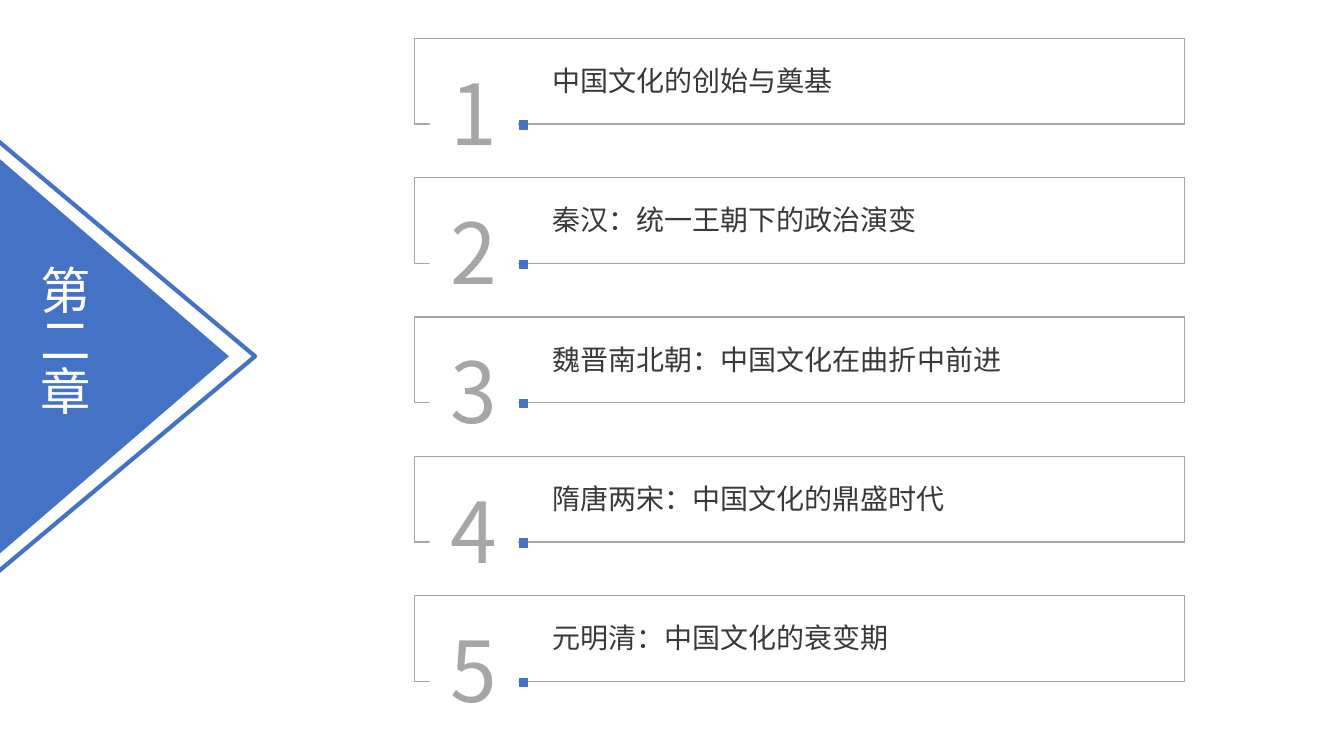
"""Build the contents slide of chapter two."""
from dataclasses import dataclass

from lxml.etree import SubElement
from pptx import Presentation
from pptx.dml.color import RGBColor
from pptx.enum.shapes import MSO_SHAPE as Kind
from pptx.enum.text import MSO_ANCHOR as Anchor, MSO_AUTO_SIZE as Fit, PP_ALIGN as Align
from pptx.oxml.ns import qn
from pptx.shapes.autoshape import Shape
from pptx.util import Inches, Pt

BLUE = RGBColor(0x44, 0x72, 0xC4)
GRAY = RGBColor(0xA6, 0xA6, 0xA6)
DARK = RGBColor(0x3B, 0x38, 0x38)
WHITE = RGBColor(0xFF, 0xFF, 0xFF)
FONT = "Noto Sans CJK SC"
TOP, LAST = 0.38, 5.91
TITLES = [
    "中国文化的创始与奠基",
    "秦汉：统一王朝下的政治演变",
    "魏晋南北朝：中国文化在曲折中前进",
    "隋唐两宋：中国文化的鼎盛时代",
    "元明清：中国文化的衰变期",
]


@dataclass
class Box:
    left: float
    top: float
    width: float
    height: float

    def place(self) -> list[int]:
        return [Inches(v) for v in (self.left, self.top, self.width, self.height)]


@dataclass
class Style:
    size: int
    color: RGBColor
    align: Align = Align.LEFT
    wrap: bool = True


TITLE = Style(20, DARK, wrap=False)
DIGIT = Style(60, GRAY, Align.CENTER)
LABEL = Style(36, WHITE, Align.CENTER)


def draw(shapes, kind: Kind, box: Box, fill: RGBColor | None = None,
         line: RGBColor | None = None, width: float = 1) -> Shape:
    shape = shapes.add_shape(kind, *box.place())
    shape.shadow.inherit = False
    if fill is None:
        shape.fill.background()
    else:
        shape.fill.solid()
        shape.fill.fore_color.rgb = fill
    if line is None:
        shape.line.fill.background()
    else:
        shape.line.color.rgb = line
        shape.line.width = Pt(width)
    return shape


def write(shape: Shape, text: str, style: Style) -> None:
    frame = shape.text_frame
    frame.text = text
    frame.word_wrap = style.wrap
    frame.auto_size = Fit.SHAPE_TO_FIT_TEXT
    para = frame.paragraphs[0]
    para.alignment = style.align
    font = para.runs[0].font
    font.size = Pt(style.size)
    font.color.rgb = style.color
    font.name = FONT
    SubElement(para.runs[0]._r.get_or_add_rPr(), qn("a:ea"), typeface=FONT)


def add_item(shapes, num: int, title: str, top: float) -> None:
    group = shapes.add_group_shape().shapes
    draw(group, Kind.RECTANGLE, Box(4.11, top, 7.64, 0.85), line=GRAY)
    digit = draw(group, Kind.RECTANGLE, Box(4.26, top + 0.17, 0.88, 1.11), WHITE)
    digit.text_frame.vertical_anchor = Anchor.MIDDLE
    write(digit, str(num), DIGIT)
    draw(group, Kind.RECTANGLE, Box(5.15, top + 0.82, 0.08, 0.08), BLUE, BLUE)
    box = Box(5.38, top + 0.2, 0.28 * len(title) + 0.21, 0.44)
    write(group.add_textbox(*box.place()), title, TITLE)


def add_label(shapes) -> None:
    inner = draw(shapes, Kind.ISOSCELES_TRIANGLE, Box(-0.82, 2.4, 3.91, 2.27), BLUE)
    outer = draw(shapes, Kind.ISOSCELES_TRIANGLE, Box(-0.91, 2.25, 4.31, 2.57),
                 line=BLUE, width=3)
    inner.rotation = outer.rotation = 90
    label = shapes.add_textbox(*Box(0.17, 2.53, 0.81, 2.01).place())
    write(label, "第二章", LABEL)
    label.text_frame._txBody.bodyPr.set("vert", "eaVert")


def main() -> None:
    deck = Presentation()
    deck.slide_width, deck.slide_height = Inches(13.33), Inches(7.5)
    shapes = deck.slides.add_slide(deck.slide_layouts[6]).shapes
    add_label(shapes)
    step = (LAST - TOP) / (len(TITLES) - 1)
    for i, title in enumerate(TITLES):
        add_item(shapes, i + 1, title, TOP + i * step)
    deck.save("out.pptx")


if __name__ == "__main__":
    main()
